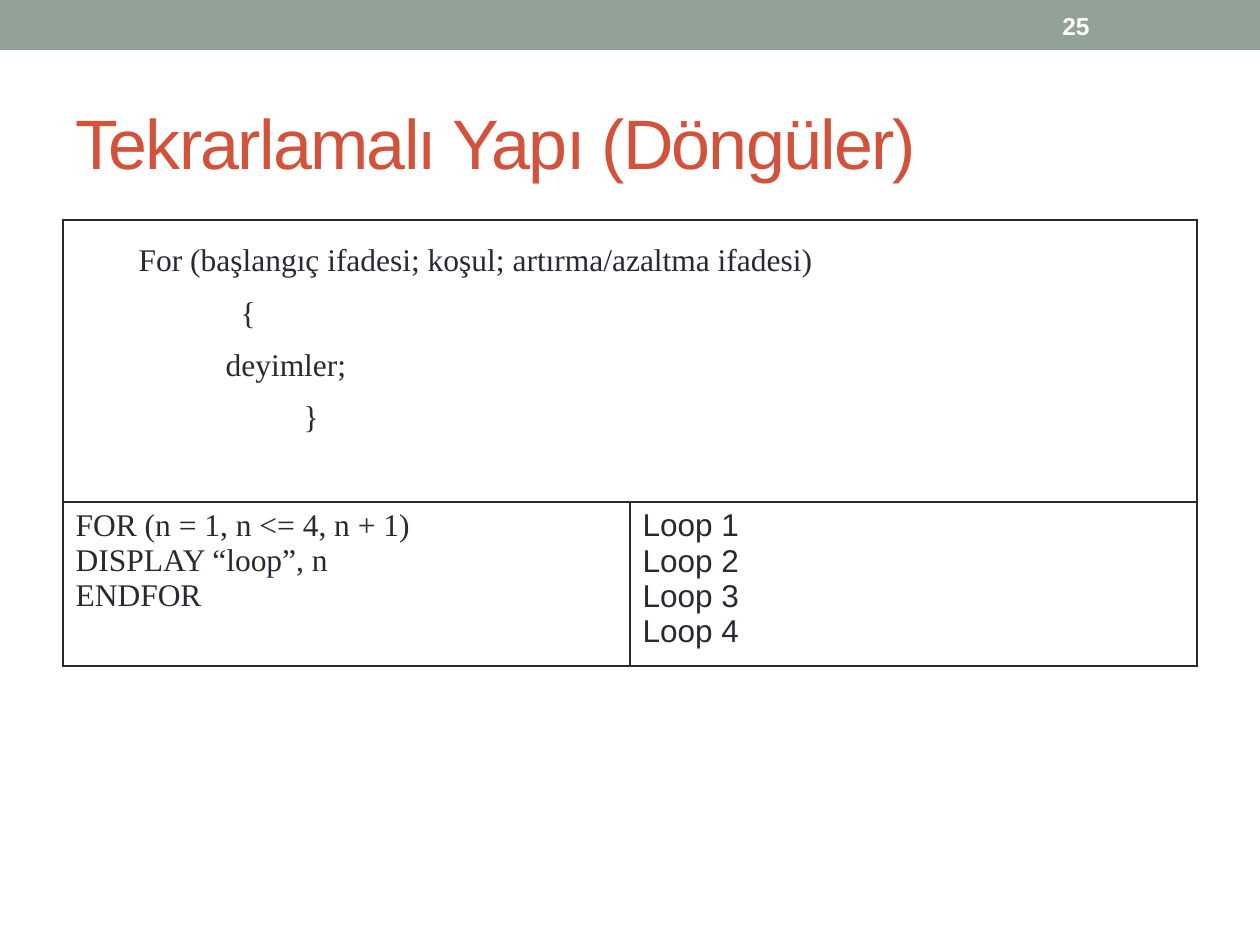
"""Build the slide on repeating structures (loops)."""
import dataclasses

import lxml.etree
import pptx
import pptx.dml.color
import pptx.enum.shapes
import pptx.enum.text
import pptx.oxml.ns
import pptx.util

SCALE = 914400 // 126
INK = "292934"
SERIF = "Times New Roman"


@dataclasses.dataclass
class Line:
    text: str
    indent: int = 0


@dataclasses.dataclass
class CellText:
    row: int
    col: int
    lines: list[Line]
    font: str = SERIF
    spacing: float = 1.0


CELLS = [
    CellText(0, 0, [
        Line("For (başlangıç ifadesi; koşul; artırma/azaltma ifadesi)", 63),
        Line("{", 165),
        Line("deyimler;", 150),
        Line("}", 228),
    ], spacing=1.5),
    CellText(1, 0, [
        Line("FOR (n = 1, n <= 4, n + 1)"),
        Line("DISPLAY “loop”, n"),
        Line("ENDFOR"),
    ]),
    CellText(1, 1, [Line(f"Loop {n}") for n in range(1, 5)], font="Arial"),
]


def px(n: int) -> pptx.util.Emu:
    return pptx.util.Emu(n * SCALE)


def rgb(value: str) -> pptx.dml.color.RGBColor:
    return pptx.dml.color.RGBColor.from_string(value)


def write(tf, lines: list[Line], *, size: int = 18, font: str = "Arial",
          color: str = INK, bold: bool = False, spacing: float = 1.0,
          tracking: int = 0) -> None:
    for i, line in enumerate(lines):
        p = tf.paragraphs[0] if i == 0 else tf.add_paragraph()
        p.alignment = pptx.enum.text.PP_ALIGN.LEFT
        p.line_spacing = spacing
        if line.indent:
            pPr = p._p.get_or_add_pPr()
            pPr.set("marL", str(px(line.indent)))
            pPr.set("indent", "0")
        r = p.add_run()
        r.text = line.text
        r.font.size = pptx.util.Pt(size)
        r.font.name = font
        r.font.bold = bold
        r.font.color.rgb = rgb(color)
        if tracking:
            r._r.get_or_add_rPr().set("spc", str(tracking * 100))


def outline(cell, color: str) -> None:
    cell.fill.background()
    tcPr = cell._tc.get_or_add_tcPr()
    qn = pptx.oxml.ns.qn
    for i, side in enumerate(("lnL", "lnR", "lnT", "lnB")):
        ln = lxml.etree.Element(qn(f"a:{side}"), w=str(pptx.util.Pt(1)))
        fill = lxml.etree.SubElement(ln, qn("a:solidFill"))
        lxml.etree.SubElement(fill, qn("a:srgbClr"), val=color)
        tcPr.insert(i, ln)


def add_header(s) -> None:
    sp = s.shapes.add_shape(pptx.enum.shapes.MSO_SHAPE.RECTANGLE,
                            px(0), px(0), px(1260), px(50))
    sp.shadow.inherit = False
    sp.fill.solid()
    sp.fill.fore_color.rgb = rgb("93A299")
    sp.line.fill.background()
    number = s.shapes.add_textbox(px(1050), px(3), px(147), px(45))
    tf = number.text_frame
    tf.word_wrap = True
    tf.vertical_anchor = pptx.enum.text.MSO_ANCHOR.MIDDLE
    write(tf, [Line("25")], size=14, color="FFFFFF", bold=True)


def add_title(s) -> None:
    sp = s.shapes.title
    sp.left, sp.top, sp.width, sp.height = px(63), px(73), px(1134), px(136)
    tf = sp.text_frame
    tf.vertical_anchor = pptx.enum.text.MSO_ANCHOR.MIDDLE
    write(tf, [Line("Tekrarlamalı Yapı (Döngüler)")],
          size=40, color="D2533C", tracking=-1)


def add_loop_table(s) -> None:
    heights = [282, 154]
    table = s.shapes.add_table(2, 2, px(63), px(220),
                               px(1134), px(sum(heights))).table
    table.first_row = False
    table.horz_banding = False
    for row, height in zip(table.rows, heights):
        row.height = px(height)
        for cell in row.cells:
            outline(cell, INK)
    table.cell(0, 0).merge(table.cell(0, 1))
    for item in CELLS:
        write(table.cell(item.row, item.col).text_frame, item.lines,
              font=item.font, spacing=item.spacing)


def main() -> None:
    prs = pptx.Presentation()
    prs.slide_width, prs.slide_height = px(1260), px(945)
    s = prs.slides.add_slide(prs.slide_layouts[5])
    add_header(s)
    add_title(s)
    add_loop_table(s)
    prs.save("out.pptx")


main()
